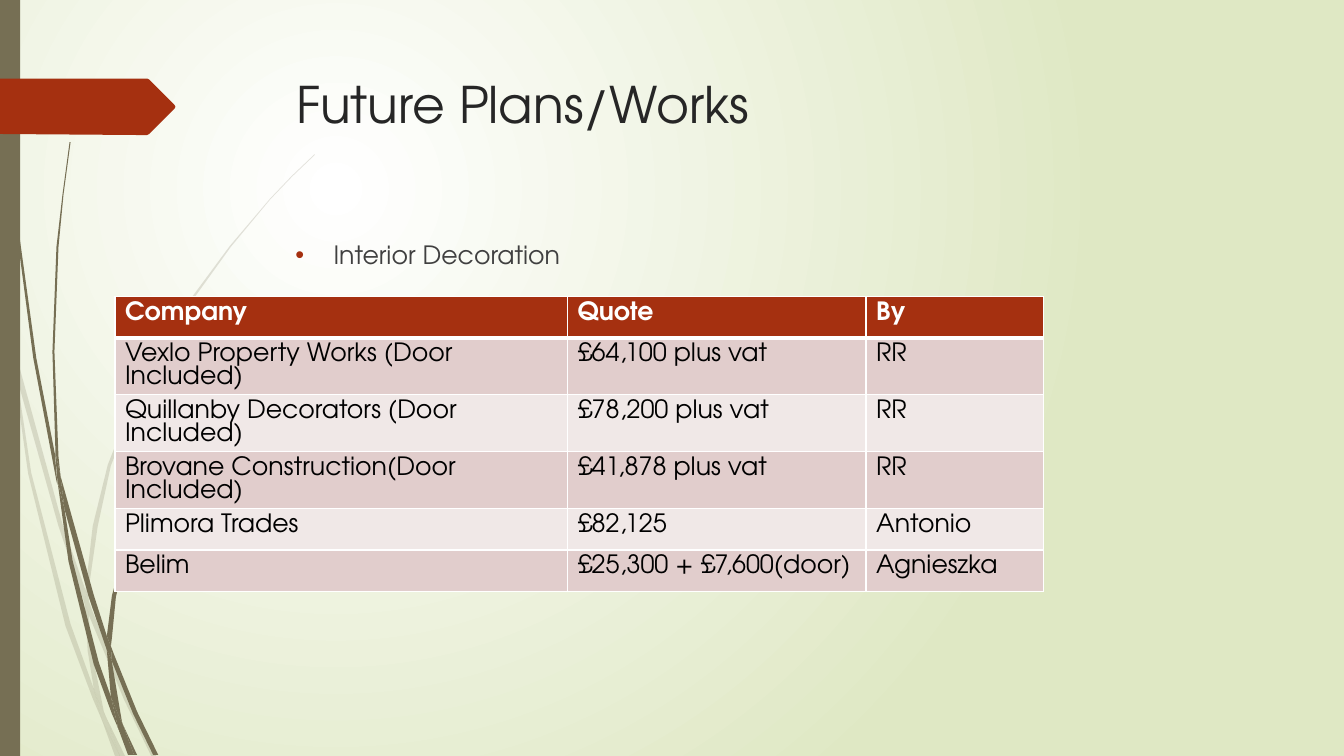
from lxml import etree
from pptx import Presentation
from pptx.dml.color import RGBColor
from pptx.enum.shapes import MSO_SHAPE
from pptx.oxml.ns import qn
from pptx.util import Inches, Pt

RECT = MSO_SHAPE.RECTANGLE
THEME = {
    "white": "FFFFFF", "lime": "DFE8C4", "olive": "766F54", "rust": "A53010",
    "title": "262626", "body": "404040", "black": "000000",
    "bands": ("E1CDCC", "F0E8E7"),
    "font": "TeX Gyre Adventor", "title_size": Pt(36), "text_size": Pt(18),
    "cell_spacing": Pt(16.75),
}

# Grass blades: outlines in inches, from back to front
PALE_BLADES = [
    [(0.11, 3.5), (0.09, 3.22), (0, 2.82), (0, 2.99), (0.1, 3.44)],
    [(0.58, 5.22), (0.84, 5.99), (0.85, 5.86), (0.62, 5.2), (0.14, 3.45), (0.17, 3.76)],
    [(0.92, 6.07), (0.88, 5.96), (0.88, 6.1), (1.23, 6.94), (1.5, 7.5), (1.55, 7.5), (1.27, 6.92)],
    [(1.19, 7.5), (1.24, 7.5), (1.05, 7.11)],
    [(0.93, 6.83), (0.7, 6.19), (0.31, 4.69), (0.17, 3.76), (0.11, 3.5), (0.28, 4.7),
     (0.65, 6.21), (0.92, 6.93), (1.01, 7.14), (0.99, 7.07)],
    [(0.84, 5.99), (0.87, 6.46), (0.93, 6.83), (0.96, 6.92), (1.05, 7.11), (1.03, 7.06),
     (0.91, 6.46), (0.88, 6.1), (0.88, 6.08)],
    [(0.88, 5.84), (0.97, 5.22), (1.1, 4.62), (1.33, 4.04), (1.6, 3.49), (1.93, 2.95),
     (2.29, 2.45), (2.68, 1.98), (2.9, 1.75), (3.12, 1.54), (3.12, 1.53), (2.89, 1.75),
     (2.68, 1.97), (2.28, 2.44), (1.91, 2.94), (1.58, 3.48), (1.3, 4.03), (1.07, 4.61),
     (0.92, 5.22), (0.85, 5.84), (0.85, 5.86), (0.88, 5.96)],
    [(1.01, 7.14), (1.14, 7.5), (1.19, 7.5)],
    [(0.88, 6.08), (0.88, 6.1), (0.88, 5.96), (0.85, 5.86), (0.84, 5.99)],
    [(0.96, 6.92), (0.93, 6.83), (0.99, 7.07), (1.01, 7.14), (1.19, 7.5), (1.05, 7.11)],
]
DARK_BLADES = [
    [(0.07, 1.1), (0.17, 2.33), (0.33, 3.55), (0.56, 4.77), (0.57, 4.81), (0.55, 4.57),
     (0.55, 4.53), (0.36, 3.55), (0.19, 2.32), (0.08, 1.09), (0.05, 0.48), (0.04, 0),
     (0.03, 0), (0.04, 0.48)],
    [(0.88, 5.92), (1.06, 6.45), (1.06, 6.31), (0.93, 5.9), (0.6, 4.72), (0.64, 5.05)],
    [(1.13, 6.49), (1.1, 6.41), (1.11, 6.56), (1.32, 7.08), (1.52, 7.49), (1.57, 7.49), (1.36, 7.06)],
    [(1.1, 6.91), (0.98, 6.57), (0.72, 5.56), (0.64, 5.05), (0.57, 4.77), (0.68, 5.57),
     (0.93, 6.59), (1.11, 7.08), (1.17, 7.22), (1.16, 7.17)],
    [(0.6, 4.72), (0.58, 4.53), (0.54, 3.49), (0.58, 2.45), (0.63, 1.93), (0.7, 1.41),
     (0.69, 1.41), (0.62, 1.93), (0.56, 2.45), (0.52, 3.49), (0.55, 4.49)],
    [(1.33, 7.49), (1.36, 7.49), (1.22, 7.19)],
    [(0.57, 4.77), (0.64, 5.05), (0.6, 4.72), (0.55, 4.49), (0.55, 4.53)],
    [(1.11, 6.33), (1.15, 5.92), (1.25, 5.52), (1.4, 5.13), (1.58, 4.76), (2.05, 4.06),
     (2.31, 3.74), (2.45, 3.59), (2.61, 3.44), (2.6, 3.44), (2.45, 3.58), (2.31, 3.73),
     (2.04, 4.05), (1.56, 4.74), (1.37, 5.12), (1.22, 5.51), (1.11, 5.91), (1.06, 6.31), (1.1, 6.41)],
    [(1.17, 7.22), (1.27, 7.49), (1.31, 7.49)],
    [(1.06, 6.45), (1.1, 6.91), (1.16, 7.06), (1.22, 7.19), (1.21, 7.16), (1.11, 6.56), (1.09, 6.51)],
    [(1.06, 6.45), (1.09, 6.51), (1.11, 6.56), (1.1, 6.41), (1.06, 6.31)],
    [(1.16, 7.06), (1.1, 6.91), (1.16, 7.17), (1.17, 7.22), (1.3, 7.49), (1.33, 7.49), (1.22, 7.19)],
]
ARROW = [(1.74, 1.06), (1.73, 1.08), (1.48, 1.33), (1.46, 1.34), (1.36, 1.34), (0, 1.33),
         (0, 0.78), (1.46, 0.78), (1.48, 0.79), (1.73, 1.04)]

QUOTES = [
    ("Company", "Quote", "By"),
    ("Vexlo Property Works (Door Included)", "£64,100 plus vat", "RR"),
    ("Quillanby Decorators (Door Included)", "£78,200 plus vat", "RR"),
    ("Brovane Construction(Door Included)", "£41,878 plus vat", "RR"),
    ("Plimora Trades", "£82,125", "Antonio"),
    ("Belim", "£25,300 + £7,600(door)", "Agnieszka"),
]


def paint(sp, color):
    sp.fill.solid()
    sp.fill.fore_color.rgb = RGBColor.from_string(color)
    sp.line.fill.background()
    sp.shadow.inherit = False


def write(tf, text, color, size, bold=False):
    p = tf.paragraphs[0]
    r = p.add_run()
    r.text = text
    for name, value in {"name": THEME["font"], "size": size, "bold": bold}.items():
        setattr(r.font, name, value)
    r.font.color.rgb = RGBColor.from_string(color)
    return p


prs = Presentation()
prs.slide_width, prs.slide_height = Inches(13.33), Inches(7.5)
s = prs.slides.add_slide(prs.slide_layouts[6])

# Background: radial gradient
fill = s.background.fill
fill.gradient()
for stop, color, position in zip(fill.gradient_stops, (THEME["white"], THEME["lime"]), (0, 1)):
    stop.color.rgb = RGBColor.from_string(color)
    stop.position = position
grad = s.element.find(".//" + qn("a:gradFill"))
grad.remove(grad.find(qn("a:lin")))
radial = etree.SubElement(grad, qn("a:path"), {"path": "circle"})
etree.SubElement(radial, qn("a:fillToRect"), {"l": "50000", "t": "50000", "r": "100000", "b": "100000"})

# Grass, side bar and arrow
bar = s.shapes.add_shape(RECT, 0, 0, Inches(0.2), Inches(7.5))
paint(bar, THEME["olive"])
for outlines, color, alpha in ((PALE_BLADES, THEME["olive"], 20),
                               (DARK_BLADES, THEME["olive"], 100),
                               ([ARROW], THEME["rust"], 100)):
    for outline in outlines:
        points = [(Inches(x), Inches(y)) for x, y in outline]
        builder = s.shapes.build_freeform(*points[0])
        builder.add_line_segments(points[1:], close=True)
        sp = builder.convert_to_shape()
        paint(sp, color)
        if alpha < 100:
            rgb = sp.element.spPr.find(qn("a:solidFill"))[0]
            etree.SubElement(rgb, qn("a:alpha"), {"val": str(alpha * 1000)})

# Title and bullet
tf = s.shapes.add_textbox(Inches(2.84), Inches(0.68), Inches(9.75), Inches(1.4)).text_frame
tf.word_wrap = True
write(tf, "Future Plans/Works", THEME["title"], THEME["title_size"])

tf = s.shapes.add_textbox(Inches(2.83), Inches(2.33), Inches(9.75), Inches(4.13)).text_frame
tf.word_wrap = True
p = write(tf, "Interior Decoration", THEME["body"], THEME["text_size"])
p.space_before = Pt(10)
pPr = p._p.get_or_add_pPr()
pPr.set("marL", str(Inches(0.38)))
pPr.set("indent", str(Inches(-0.38)))
bullet_color = etree.SubElement(pPr, qn("a:buClr"))
etree.SubElement(bullet_color, qn("a:srgbClr"), {"val": THEME["rust"]})
etree.SubElement(pPr, qn("a:buFont"), {"typeface": "Arial"})
etree.SubElement(pPr, qn("a:buChar"), {"char": "•"})

# Quotes table
ROW_HEIGHT = 0.41
table = s.shapes.add_table(len(QUOTES), 3, Inches(1.14), Inches(2.94),
                           Inches(9.21), Inches(ROW_HEIGHT * len(QUOTES))).table
for column, width in zip(table.columns, (4.49, 2.96, 1.76)):
    column.width = Inches(width)
for i, quote in enumerate(QUOTES):
    header = i == 0
    table.rows[i].height = Inches(ROW_HEIGHT)
    for j, text in enumerate(quote):
        cell = table.cell(i, j)
        p = write(cell.text_frame, text, THEME["white"] if header else THEME["black"],
                  THEME["text_size"], header)
        p.line_spacing = THEME["cell_spacing"]
        tcPr = cell._tc.get_or_add_tcPr()
        for side in "LRTB":
            thick = (header and side == "B") or (i == 1 and side == "T")
            ln = etree.SubElement(tcPr, qn("a:ln" + side), {"w": str(Pt(3 if thick else 1))})
            solid = etree.SubElement(ln, qn("a:solidFill"))
            etree.SubElement(solid, qn("a:srgbClr"), {"val": THEME["white"]})
        cell.fill.solid()
        cell.fill.fore_color.rgb = RGBColor.from_string(
            THEME["rust"] if header else THEME["bands"][(i - 1) % 2])

prs.save("out.pptx")
